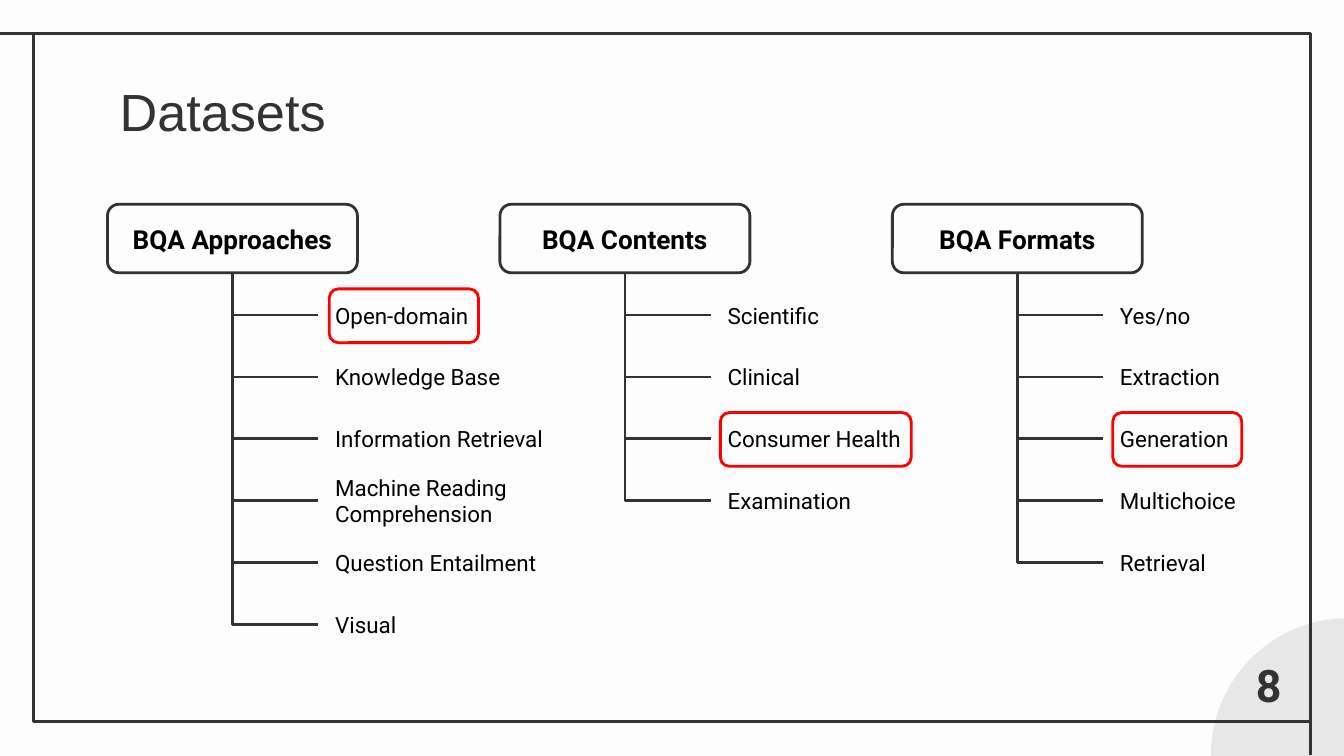
from lxml.etree import SubElement
from pptx import Presentation
from pptx.dml.color import RGBColor
from pptx.enum.shapes import MSO_CONNECTOR, MSO_SHAPE
from pptx.enum.text import MSO_ANCHOR, MSO_AUTO_SIZE, PP_ALIGN
from pptx.oxml.ns import qn
from pptx.util import Inches, Pt

INK = RGBColor(0x33, 0x33, 0x33)
BLACK = RGBColor(0, 0, 0)
RED = RGBColor(0xFF, 0, 0)
GRAY = RGBColor(0xE8, 0xE7, 0xE7)
PAPER = RGBColor(0xFD, 0xFD, 0xFD)

TITLE = "Datasets"
PAGE = "8"
TREES = [
    ("BQA Approaches", ["Open-domain", "Knowledge Base", "Information Retrieval",
                        "Machine Reading Comprehension", "Question Entailment", "Visual"]),
    ("BQA Contents", ["Scientific", "Clinical", "Consumer Health", "Examination"]),
    ("BQA Formats", ["Yes/no", "Extraction", "Generation", "Multichoice", "Retrieval"]),
]
MARKS = [(2.45, 2.15, 1.11), (5.36, 3.07, 1.42), (8.28, 3.07, 0.96)]
RULES = [(0.26, 0.25, 0, 0.25), (9.75, 5.37, 9.75, 5.62)]

HEAD = {"name": "Roboto", "size": Pt(14), "bold": True}
ITEM = {"name": "Roboto", "size": Pt(12), "bold": False}
NUM = {"name": "Roboto", "size": Pt(24), "bold": True}
TOP = {"name": "Arial", "size": Pt(28), "bold": False}

LEFT, TREE_GAP, HEAD_TOP, HEAD_W = 0.8, 2.92, 1.52, 1.86
ITEM_TOP, ITEM_GAP, ITEM_W, BOX_H = 2.09, 0.46, 1.92, 0.51
RUN = 0.64


def write(shape, text, style, color, align, anchor):
    frame = shape.text_frame
    box = {"word_wrap": True, "auto_size": MSO_AUTO_SIZE.NONE, "vertical_anchor": anchor}
    for side in ("left", "top", "right", "bottom"):
        box["margin_" + side] = Inches(0.1)
    for key, val in box.items():
        setattr(frame, key, val)
    frame.text = text
    para = frame.paragraphs[0]
    para.alignment = align
    font = para.runs[0].font
    for key, val in style.items():
        setattr(font, key, val)
    font.color.rgb = color


def draw(slide, kind, spot, line=None, fill=None):
    shape = slide.shapes.add_shape(kind, *map(Inches, spot))
    shape.shadow.inherit = False
    if fill is None:
        shape.fill.background()
    else:
        shape.fill.solid()
        shape.fill.fore_color.rgb = fill
    if line is None:
        shape.line.fill.background()
    else:
        shape.line.color.rgb = line
        shape.line.width = Pt(1.5)
    return shape


def link(slide, kind, ends):
    wire = slide.shapes.add_connector(kind, *map(Inches, ends))
    wire.line.color.rgb = INK
    wire.line.width = Pt(1.5)
    SubElement(wire._element.spPr, qn("a:effectLst"))
    return wire


def branch(slide, left, top, drop):
    x = left + (RUN - drop) / 2
    y = top + (drop - RUN) / 2
    wire = link(slide, MSO_CONNECTOR.ELBOW, (x, y, x + drop, y + RUN))
    props = wire._element.spPr
    props.find(qn("a:prstGeom")).set("prst", "bentConnector2")
    form = props.find(qn("a:xfrm"))
    form.set("rot", str(270 * 60000))
    form.set("flipH", "1")


def tree(slide, left, name, items):
    head = draw(slide, MSO_SHAPE.ROUNDED_RECTANGLE, (left, HEAD_TOP, HEAD_W, BOX_H), INK)
    write(head, name, HEAD, BLACK, PP_ALIGN.CENTER, MSO_ANCHOR.MIDDLE)
    stem, base = left + HEAD_W / 2, HEAD_TOP + BOX_H
    for row, text in enumerate(items):
        top = ITEM_TOP + row * ITEM_GAP
        spot = (stem + RUN, top, ITEM_W, BOX_H)
        item = draw(slide, MSO_SHAPE.ROUNDED_RECTANGLE, spot)
        write(item, text, ITEM, BLACK, PP_ALIGN.LEFT, MSO_ANCHOR.MIDDLE)
        branch(slide, stem, base, top + BOX_H / 2 - base)


def main():
    deck = Presentation()
    deck.slide_width = Inches(10)
    deck.slide_height = deck.slide_width * 9 // 16
    slide = deck.slides.add_slide(deck.slide_layouts[5])
    slide.background.fill.solid()
    slide.background.fill.fore_color.rgb = PAPER

    draw(slide, MSO_SHAPE.OVAL, (9.01, 4.6, 2.04, 2.04), fill=GRAY)
    draw(slide, MSO_SHAPE.RECTANGLE, (0.25, 0.25, 9.5, 5.12), INK)
    for ends in RULES:
        link(slide, MSO_CONNECTOR.STRAIGHT, ends)

    title = slide.shapes.title
    spot = {"left": 0.79, "top": 0.49, "width": 8.43, "height": 0.63}
    for key, val in spot.items():
        setattr(title, key, Inches(val))
    write(title, TITLE, TOP, INK, PP_ALIGN.LEFT, MSO_ANCHOR.TOP)

    for col, (name, items) in enumerate(TREES):
        tree(slide, LEFT + col * TREE_GAP, name, items)

    page = slide.shapes.add_textbox(*map(Inches, (9.21, 4.79, 0.46, 0.51)))
    write(page, PAGE, NUM, INK, PP_ALIGN.CENTER, MSO_ANCHOR.TOP)
    for left, top, width in MARKS:
        draw(slide, MSO_SHAPE.ROUNDED_RECTANGLE, (left, top, width, 0.4), RED)

    deck.save("out.pptx")


if __name__ == "__main__":
    main()
